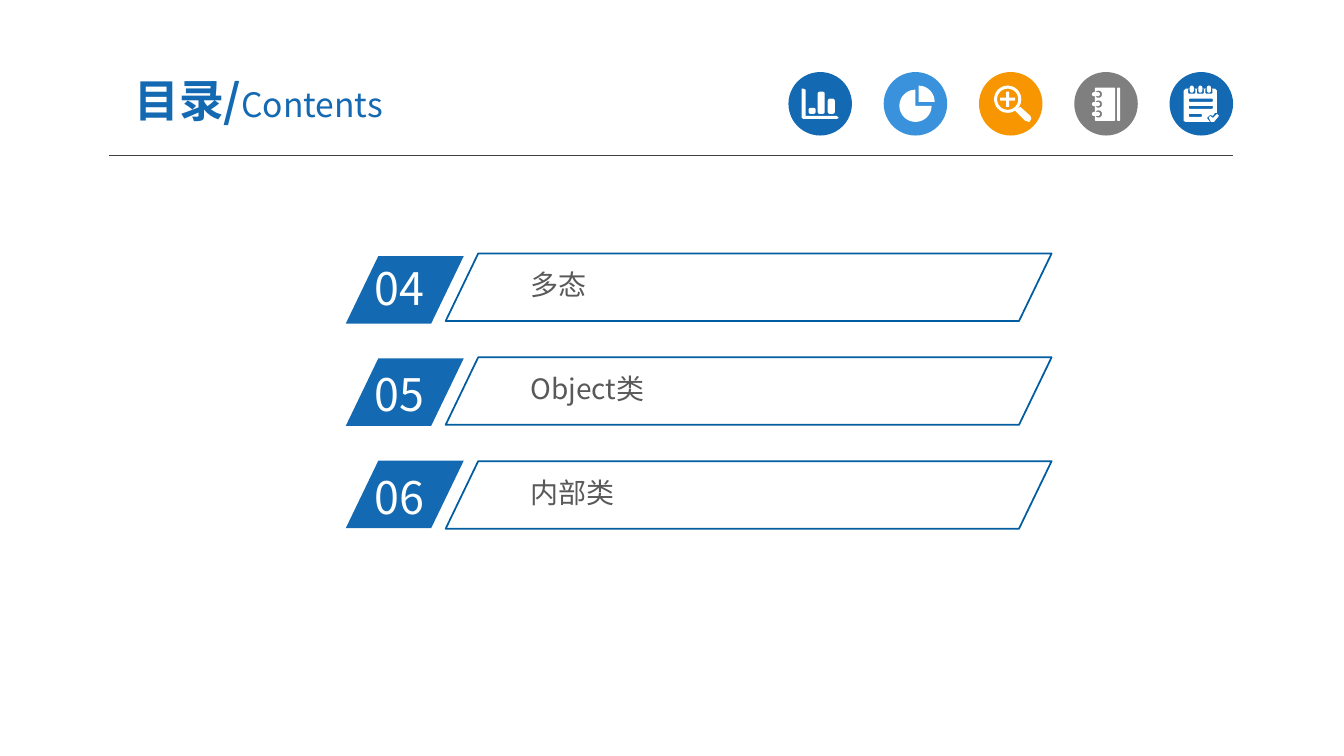
from math import cos, pi, sin

from lxml.etree import SubElement
from pptx import Presentation
from pptx.dml.color import RGBColor
from pptx.enum.shapes import MSO_CONNECTOR, MSO_SHAPE
from pptx.enum.text import MSO_ANCHOR, PP_ALIGN
from pptx.oxml.ns import qn
from pptx.util import Inches, Pt

FONT = "Noto Sans CJK SC"
BLUE, LIGHT_BLUE, ORANGE, GRAY = "1369B2", "3992DB", "F79600", "7F7F7F"
WHITE, TEXT_GRAY, BAR_LINE, RULE = "FFFFFF", "595959", "005DA2", "404040"


def color(value):
    return RGBColor.from_string(value)


def paint(shape, fill=None, line=None):
    shape.shadow.inherit = False
    if fill:
        shape.fill.solid()
        shape.fill.fore_color.rgb = color(fill)
    else:
        shape.fill.background()
    if line:
        shape.line.color.rgb = color(line)
        shape.line.width = Pt(1.25)
    else:
        shape.line.fill.background()


def add_figure(page, kind, left, top, width, height, fill=None, line=None, adjust=()):
    shape = page.shapes.add_shape(kind, Inches(left), Inches(top), Inches(width), Inches(height))
    for index, value in enumerate(adjust):
        shape.adjustments[index] = value
    paint(shape, fill, line)


def style_span(span, size, value, bold=False):
    span.font.name = FONT
    span.font.size = Pt(size)
    span.font.bold = bold
    span.font.color.rgb = color(value)
    SubElement(span.font._element, qn("a:ea")).set("typeface", FONT)


def add_text(page, text, left, top, width, height, size, value, inset=(0.1, 0.05)):
    box = page.shapes.add_textbox(Inches(left), Inches(top), Inches(width), Inches(height))
    frame = box.text_frame
    frame.word_wrap = True
    frame.margin_left = frame.margin_right = Inches(inset[0])
    frame.margin_top = frame.margin_bottom = Inches(inset[1])
    frame.text = text
    style_span(frame.paragraphs[0].runs[0], size, value)


def fill_title(page):
    title = page.shapes.title
    title.left, title.top = Inches(0.92), Inches(0.63)
    title.width, title.height = Inches(3.29), Inches(0.72)
    frame = title.text_frame
    frame.vertical_anchor = MSO_ANCHOR.MIDDLE
    frame.margin_left = frame.margin_right = Inches(0.13)
    frame.margin_top = frame.margin_bottom = Inches(0.07)
    para = frame.paragraphs[0]
    para.alignment = PP_ALIGN.CENTER
    for text, size, bold in (("目录/", 32, True), ("Contents", 24, False)):
        span = para.add_run()
        span.text = text
        style_span(span, size, BLUE, bold)


def add_rule(page):
    rule = page.shapes.add_connector(
        MSO_CONNECTOR.STRAIGHT, Inches(1.08), Inches(1.54), Inches(12.23), Inches(1.54))
    rule.line.color.rgb = color(RULE)
    rule.line.width = Pt(0.75)
    SubElement(rule._element.spPr, qn("a:effectLst"))


def arc(x, y, radius, start, end, steps):
    angles = [(start + (end - start) * step / steps) * pi / 180 for step in range(steps + 1)]
    return [(x + radius * cos(angle), y + radius * sin(angle)) for angle in angles]


def slab(left, top, width, height, radius):
    right, bottom = left + width - radius, top + height - radius
    left, top = left + radius, top + radius
    centers = ((right, bottom), (left, bottom), (left, top), (right, top))
    return [point for turn, (x, y) in enumerate(centers)
            for point in arc(x, y, radius, 90 * turn, 90 * turn + 90, 4)]


def bar_chart_outlines():
    axes = [(7.95, 0.88), (7.97, 0.88), (7.99, 0.89), (7.99, 1.15), (8.3, 1.15),
            (8.32, 1.17), (8.3, 1.18), (7.97, 1.18), (7.95, 1.17)]
    bars = ((8.02, 1.07), (8.11, 0.91), (8.21, 0.98))
    return [axes] + [slab(left, top, 0.07, 1.13 - top, 0.02) for left, top in bars]


def pie_outlines():
    return [[(9.11, 1.01)] + arc(9.11, 1.01, 0.16, -90, 0, 10),
            [(9.08, 1.05)] + arc(9.08, 1.05, 0.16, 0, 270, 30)]


def magnifier_outlines():
    handle = [(10.07, 1.1), (10.12, 1.06), (10.22, 1.15), (10.23, 1.18),
              (10.21, 1.21), (10.17, 1.2)]
    plus = [(9.92, 0.97), (9.98, 0.97), (9.98, 0.91), (10.01, 0.91), (10.01, 0.97),
            (10.07, 0.97), (10.07, 1), (10.01, 1), (10.01, 1.06), (9.98, 1.06),
            (9.98, 1), (9.92, 1)]
    rings = [arc(9.995, 0.985, radius, 0, 360, 36) for radius in (0.135, 0.105)]
    return rings + [plus, handle]


def notebook_outlines():
    outlines = [slab(10.86, 0.87, 0.2, 0.33, 0.01), slab(11.08, 0.87, 0.03, 0.33, 0.01)]
    for row in range(3):
        middle = 0.935 + 0.098 * row
        outlines.append(slab(10.86, middle - 0.035, 0.07, 0.07, 0.03))
        outlines.append(slab(10.83, middle - 0.02, 0.08, 0.04, 0.02))
    return outlines


def notepad_outlines():
    sheet = [(11.74, 0.9), (11.76, 0.88), (12.05, 0.88), (12.07, 0.9), (12.07, 1.12),
             (12.05, 1.12), (12.03, 1.15), (12, 1.14), (11.97, 1.17), (12, 1.21),
             (11.76, 1.21), (11.74, 1.2)]
    check = [(11.99, 1.17), (12, 1.15), (12.03, 1.17), (12.07, 1.13),
             (12.09, 1.15), (12.04, 1.21), (12.01, 1.21)]
    outlines = [sheet, check]
    for column in range(3):
        middle = 11.82 + 0.085 * column
        outlines.append(slab(middle - 0.035, 0.88, 0.07, 0.05, 0.01))
        outlines.append(slab(middle - 0.02, 0.85, 0.04, 0.07, 0.02))
    for top, width in ((0.98, 0.24), (1.05, 0.24), (1.13, 0.13)):
        outlines.append(slab(11.79, top, width, 0.03, 0.01))
    return outlines


def add_glyph(page, outlines):
    outlines = [[(Inches(x), Inches(y)) for x, y in outline] for outline in outlines]
    builder = page.shapes.build_freeform(*outlines[0][0])
    for outline in outlines:
        builder.move_to(*outline[0])
        builder.add_line_segments(outline[1:], close=True)
    paint(builder.convert_to_shape(), WHITE)


def add_icons(page):
    icons = ((BLUE, bar_chart_outlines), (LIGHT_BLUE, pie_outlines),
             (ORANGE, magnifier_outlines), (GRAY, notebook_outlines),
             (BLUE, notepad_outlines))
    for index, (fill, outlines) in enumerate(icons):
        add_figure(page, MSO_SHAPE.OVAL, 7.82 + 0.945 * index, 0.715, 0.63, 0.63, fill)
        add_glyph(page, outlines())


def add_entry(page, index, number, number_top, label):
    slant = MSO_SHAPE.PARALLELOGRAM
    add_figure(page, slant, 3.43, 2.54 + 1.015 * index, 1.17, 0.67, BLUE, adjust=[0.482])
    add_text(page, number, 3.62, number_top, 1.12, 0.64, 32, WHITE)
    add_text(page, label, 5.19, 2.615 + 1.03 * index, 5.01, 0.43, 20, TEXT_GRAY, (0.07, 0.04))
    add_figure(page, slant, 4.42, 2.515 + 1.03 * index, 6.01, 0.67, line=BAR_LINE, adjust=[0.482])


def main():
    deck = Presentation()
    deck.slide_width, deck.slide_height = Inches(13.33), Inches(7.5)
    page = deck.slides.add_slide(deck.slide_layouts[5])
    add_rule(page)
    add_icons(page)
    fill_title(page)
    entries = (("04", 2.54, "多态"), ("05", 3.59, "Object类"), ("06", 4.61, "内部类"))
    for index, entry in enumerate(entries):
        add_entry(page, index, *entry)
    deck.save("out.pptx")


if __name__ == "__main__":
    main()
